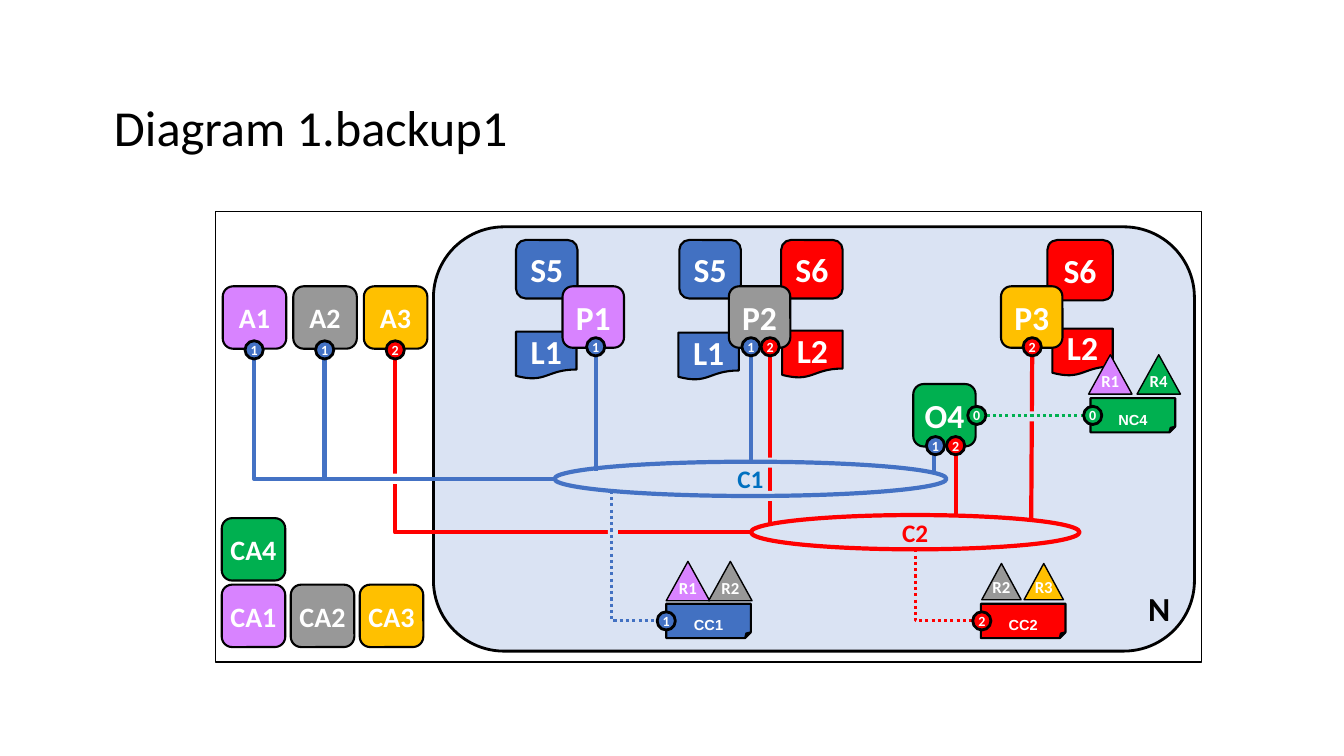
"""Build the network diagram slide with its organisations, peers, ledgers and channels."""
from lxml import etree
from pptx import Presentation
from pptx import util as u
from pptx.dml import color as c
from pptx.enum import dml, shapes, text as t
from pptx.oxml import ns

COLORS = {
    "black": "000000", "white": "FFFFFF", "panel": "DAE3F3", "gap": "DBE4F3",
    "blue": "4472C4", "steel": "4271C2", "label": "0070C0", "red": "FF0000",
    "green": "00B050", "purple": "D883FF", "grey": "989898", "amber": "FFC000",
}
KINDS = shapes.MSO_SHAPE


def rgb(name):
    return c.RGBColor.from_string(COLORS[name])


def write(shape, content, size=24, color="white", font="Calibri", bold=True,
          align=t.PP_ALIGN.CENTER, insets=(0, 0, 0, 0), wrap=False, baseline=0):
    frame = shape.text_frame
    frame.word_wrap = wrap
    frame.vertical_anchor = t.MSO_ANCHOR.MIDDLE
    frame.margin_left, frame.margin_top, frame.margin_right, frame.margin_bottom = map(u.Pt, insets)
    paragraph = frame.paragraphs[0]
    paragraph.alignment = align
    run = paragraph.add_run()
    run.text = content
    run.font.name, run.font.size, run.font.bold = font, u.Pt(size), bold
    run.font.color.rgb = rgb(color)
    if baseline:
        run.font._element.set("baseline", str(baseline * 1000))


class Diagram:
    def __init__(self, slide, port_size=13, gap_size=7.2):
        self.slide = slide
        self.port_size = port_size
        self.gap_size = gap_size

    def title(self, content, left, top, width, height):
        title = self.slide.shapes.title
        title.left, title.top, title.width, title.height = map(u.Pt, (left, top, width, height))
        write(title, content, size=36, color="black", bold=False, wrap=True,
              align=t.PP_ALIGN.LEFT, insets=(3.6,) * 4)
        title.text_frame.paragraphs[0].line_spacing = 0.9

    def caption(self, content, left, top, width, height):
        box = self.slide.shapes.add_textbox(*map(u.Pt, (left, top, width, height)))
        write(box, content, color="black")

    def block(self, kind, left, top, width, height, fill=None, line="black", weight=1.5,
              label="", **style):
        shape = self.slide.shapes.add_shape(kind, *map(u.Pt, (left, top, width, height)))
        shape.shadow.inherit = False
        if fill:
            shape.fill.solid()
            shape.fill.fore_color.rgb = rgb(fill)
        else:
            shape.fill.background()
        if line:
            shape.line.color.rgb = rgb(line)
            shape.line.width = u.Pt(weight)
        else:
            shape.line.fill.background()
        if label:
            write(shape, label, **style)

    def card(self, label, left, top, fill):
        self.block(KINDS.FOLDED_CORNER, left, top, 60.5, 24.5, fill, label=label, size=18,
                   font="Arial", insets=(2.9, 3.6, 2.9, 5.8), baseline=-25)

    def policy(self, label, left, top, width, height, fill):
        self.block(KINDS.ISOSCELES_TRIANGLE, left, top, width, height, fill, weight=1,
                   label=label, size=12, insets=(0, 3.6, 0, 8.6))

    def port(self, label, left, top, fill):
        self.block(KINDS.OVAL, left, top, self.port_size, self.port_size, fill,
                   weight=2, label=label, size=10)

    def gap(self, left, top, fill="gap"):
        self.block(KINDS.RECTANGLE, left, top, self.gap_size, self.gap_size, fill, line=None)

    def link(self, x1, y1, x2, y2, color, dotted=False, kind=shapes.MSO_CONNECTOR.STRAIGHT):
        connector = self.slide.shapes.add_connector(kind, *map(u.Pt, (x1, y1, x2, y2)))
        connector.line.color.rgb = rgb(color)
        connector.line.width = u.Pt(2.25 if dotted else 3)
        if dotted:
            connector.line.dash_style = dml.MSO_LINE.ROUND_DOT
        etree.SubElement(connector._element.spPr, ns.qn("a:effectLst"))
        return connector

    def elbow(self, x1, y1, x2, y2, color, dotted=False):
        """Draw a link that runs down from its start, then right to its end."""
        x, y = (x1 + x2) / 2, (y1 + y2) / 2
        across, down = (x2 - x1) / 2, (y2 - y1) / 2
        connector = self.link(x - down, y - across, x + down, y + across, color, dotted,
                              shapes.MSO_CONNECTOR.ELBOW)
        properties = connector._element.spPr
        properties.find(ns.qn("a:prstGeom")).set("prst", "bentConnector2")
        transform = properties.find(ns.qn("a:xfrm"))
        transform.set("rot", "16200000")
        transform.set("flipH", "1")


def draw_network(diagram):
    rounded = KINDS.ROUNDED_RECTANGLE
    diagram.block(rounded, 309.6, 162, 543.6, 303.1, "panel", weight=2)
    diagram.caption("N", 812.2, 416.2, 31.7, 36)
    diagram.block(KINDS.RECTANGLE, 154.1, 151.2, 704.2, 321.8, weight=1)
    diagram.block(rounded, 652.3, 274.3, 44.6, 44.6, "green", label="O4")

    for x1, y1, x2, y2, color in (
            (682.6, 324.7, 682.6, 367.9, "red"), (737.3, 254.2, 736.6, 371.5, "red"),
            (667.4, 324.7, 667.4, 337.7, "blue"), (536.4, 254.2, 536.4, 329.8, "blue"),
            (425.5, 254.2, 425.5, 336.2, "blue"), (550.1, 254.2, 550.1, 374.4, "red")):
        diagram.link(x1, y1, x2, y2, color)
    for top in (326.9, 350.6):
        diagram.gap(547.2, top)
    diagram.block(KINDS.OVAL, 536.4, 367.9, 234.7, 24.5, line="red", weight=3,
                  label="C2", size=18, color="red")
    diagram.block(KINDS.OVAL, 396, 329.8, 280.1, 24.5, line="blue", weight=3,
                  label="C1", size=18, color="label")

    for label, left, top, fill in (("L2", 751.7, 234.7, "red"), ("L1", 484.6, 237.6, "blue"),
                                   ("L1", 368.6, 236.9, "blue"), ("L2", 558.7, 236.2, "red")):
        diagram.block(KINDS.FLOWCHART_DOCUMENT, left, top, 43.2, 33.8, fill, label=label)
    for label, left, width, height, fill in (
            ("S6", 748.1, 46.8, 43.2, "red"), ("S5", 368.6, 43.9, 41.8, "steel"),
            ("S5", 485.3, 43.9, 41.8, "steel"), ("S6", 558, 43.9, 41.8, "red")):
        diagram.block(rounded, left, 171.4, width, height, fill, label=label)
    for label, left, fill in (("P1", 401.8, "purple"), ("P2", 520.6, "grey"),
                              ("P3", 715, "amber")):
        diagram.block(rounded, left, 204.5, 43.9, 43.9, fill, label=label)
    for index, fill in enumerate(("purple", "grey", "amber")):
        diagram.block(rounded, 159.1 + 50.4 * index, 204.5, 45.4, 44.6, fill,
                      label=f"A{index + 1}", size=20)
        diagram.block(rounded, 158.4 + 49.3 * index, 417.6, 45.4, 44.6, fill,
                      label=f"CA{index + 1}", size=20)
    diagram.block(rounded, 158.4, 370.1, 45.4, 44.6, "green", label="CA4", size=20)


def draw_access(diagram):
    diagram.elbow(181.4, 256.3, 396, 342, "blue")
    diagram.elbow(282.2, 256.3, 536.4, 380.2, "red")
    diagram.gap(278.6, 338.4, "white")
    diagram.elbow(231.8, 256.3, 396, 342, "blue")
    diagram.gap(733.7, 293.8)
    diagram.gap(434.2, 376.6)

    diagram.card("CC1", 475.9, 431.3, "steel")
    diagram.card("CC2", 700.6, 431.3, "red")
    diagram.card("NC4", 779, 284.4, "green")
    diagram.elbow(653.8, 392.4, 694.8, 443.5, "red", dotted=True)
    diagram.elbow(437, 350.6, 469.4, 443.5, "steel", dotted=True)
    diagram.link(691.2, 296.6, 786.2, 296.6, "green", dotted=True)

    port_fills = {"0": "green", "1": "blue", "2": "red"}
    for label, left, top in (
            ("2", 676.1, 311.8), ("1", 661.7, 311.8), ("2", 730.8, 241.2), ("1", 419, 241.2),
            ("1", 529.9, 241.2), ("2", 543.6, 241.2), ("0", 691.2, 290.2), ("0", 774, 290.2),
            ("1", 175, 243.4), ("1", 225.4, 243.4), ("2", 275.8, 243.4),
            ("1", 469.4, 437), ("2", 694.8, 437)):
        diagram.port(label, left, top, port_fills[label])
    for label, left, top, width, height, fill in (
            ("R4", 812.2, 253.4, 31, 28.1, "green"), ("R1", 777.6, 253.4, 31, 28.1, "purple"),
            ("R2", 701.3, 402.5, 28.1, 25.9, "grey"), ("R3", 731.5, 402.5, 28.1, 25.9, "amber"),
            ("R1", 475.9, 401, 31, 28.1, "purple"), ("R2", 506.2, 401, 31, 28.1, "grey")):
        diagram.policy(label, left, top, width, height, fill)


def main():
    presentation = Presentation()
    presentation.slide_width, presentation.slide_height = u.Pt(960), u.Pt(540)
    diagram = Diagram(presentation.slides.add_slide(presentation.slide_layouts[5]))
    diagram.title("Diagram 1.backup1", 77.8, 41, 828, 104.4)
    draw_network(diagram)
    draw_access(diagram)
    presentation.save("out.pptx")


if __name__ == "__main__":
    main()
